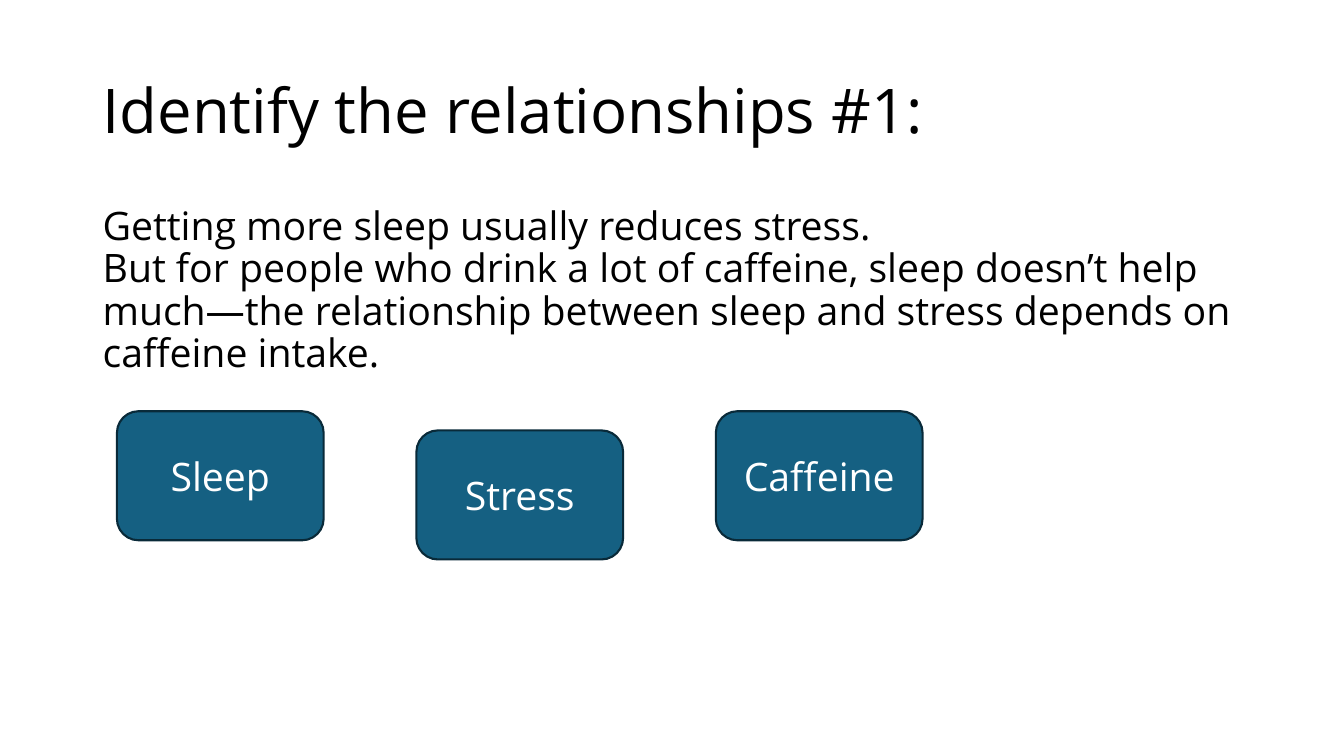
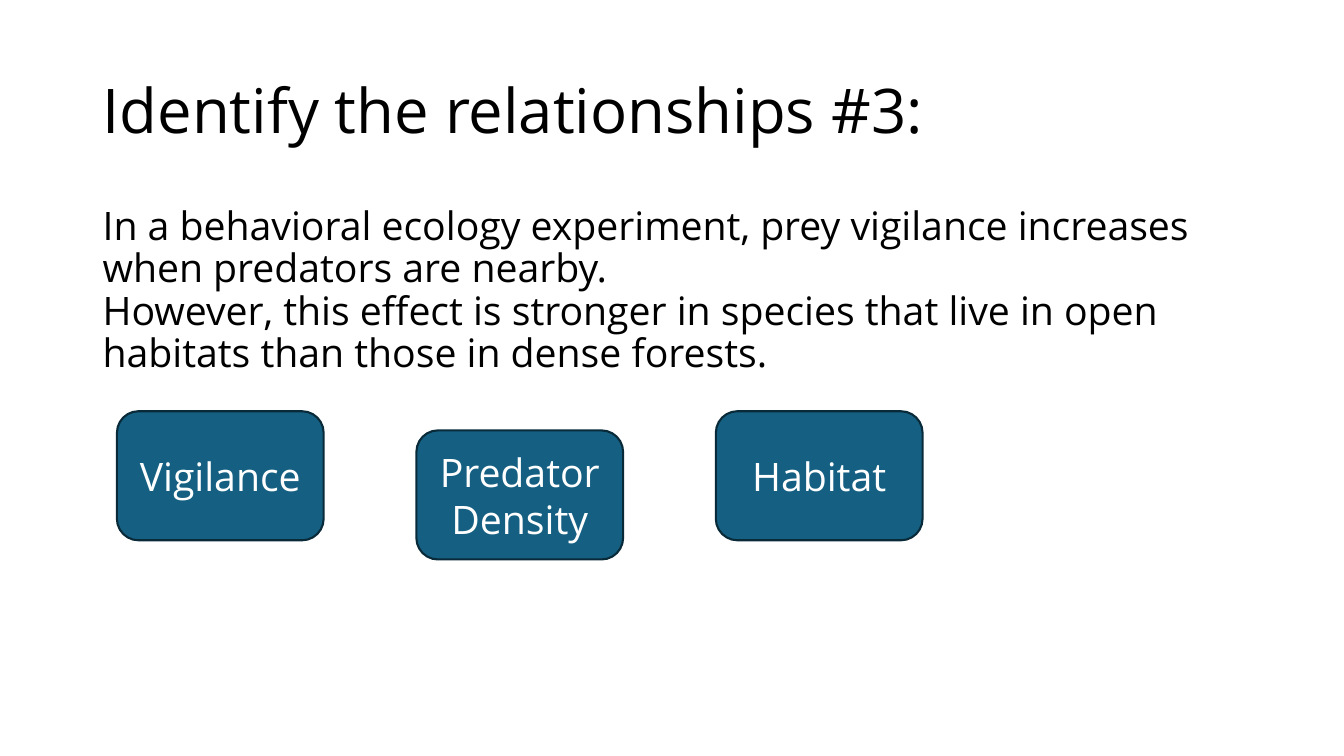
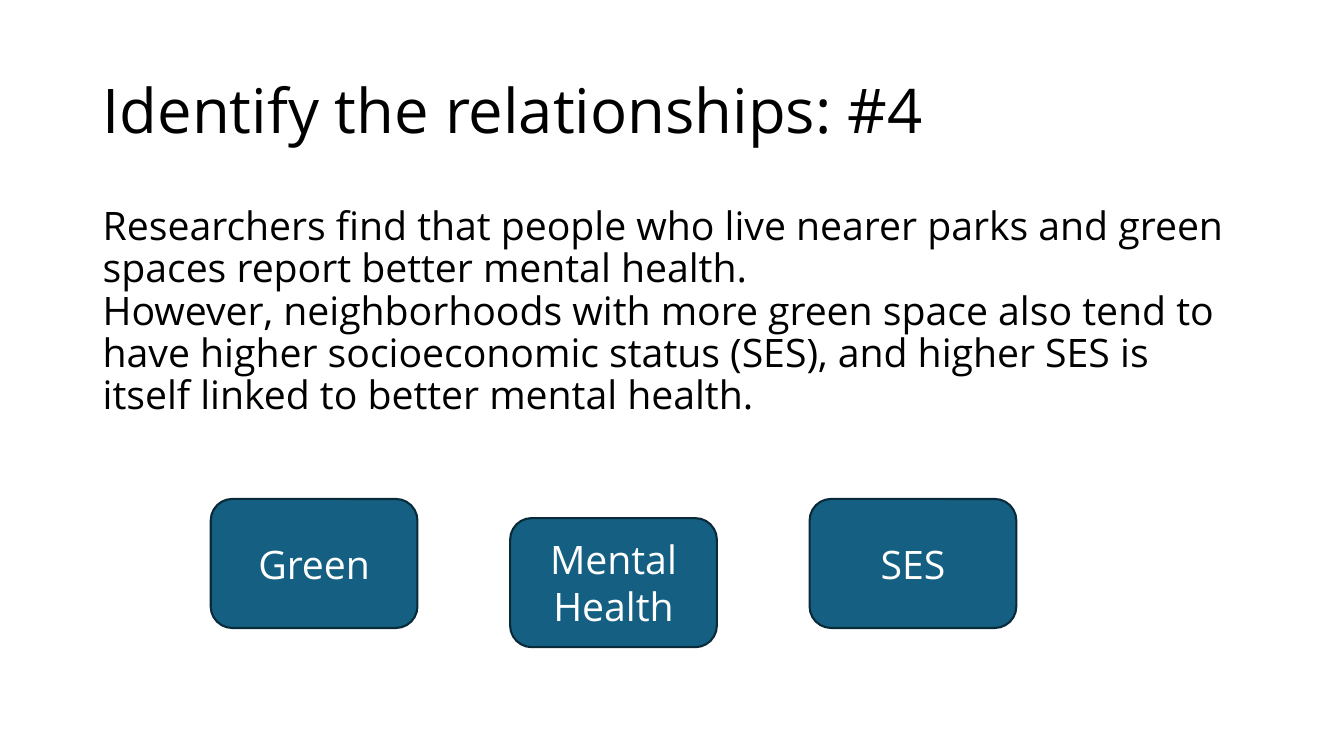
from pptx import Presentation
from pptx.dml.color import RGBColor
from pptx.enum.shapes import MSO_SHAPE
from pptx.enum.text import MSO_ANCHOR, PP_ALIGN
from pptx.util import Emu, Pt

PX = 9144
FONT = "Open Sans"
INK, WHITE, TEAL, EDGE = "000000", "FFFFFF", "156082", "092A39"
MARGIN, TEXT_W = 92, 1150
BOX_W, BOX_H, PITCH, DROP = 205, 128, 297, 19

SLIDES = [
    ("Identify the relationships #1:",
     ["Getting more sleep usually reduces stress.",
      "But for people who drink a lot of caffeine, sleep doesn’t help much—the "
      "relationship between sleep and stress depends on caffeine intake."],
     ["Sleep", "Stress", "Caffeine"], (116, 408)),
    ("Identify the relationships #3:",
     ["In a behavioral ecology experiment, prey vigilance increases when "
      "predators are nearby.",
      "However, this effect is stronger in species that live in open habitats "
      "than those in dense forests."],
     ["Vigilance", "Predator Density", "Habitat"], (116, 408)),
    ("Identify the relationships: #4",
     ["Researchers find that people who live nearer parks and green spaces "
      "report better mental health.",
      "However, neighborhoods with more green space also tend to have higher "
      "socioeconomic status (SES), and higher SES is itself linked to better "
      "mental health."],
     ["Green", "Mental Health", "SES"], (209, 495)),
]


def px(*lengths):
    """Turn pixel lengths into EMU."""
    return [Emu(n * PX) for n in lengths]


def color(hex_str):
    """Return the colour of a hex string."""
    return RGBColor.from_string(hex_str)


def write(p, lines, size, ink):
    """Add lines to a paragraph as runs parted by line breaks."""
    for i, line in enumerate(lines):
        if i:
            p.add_line_break()
        r = p.add_run()
        r.text = line
        r.font.name = FONT
        r.font.size = Pt(size)
        r.font.color.rgb = color(ink)


def add_text(s, top, height, lines, size, anchor, before=0):
    """Add a text box that spans the slide's text column."""
    tf = s.shapes.add_textbox(*px(MARGIN, top, TEXT_W, height)).text_frame
    tf.word_wrap = True
    tf.vertical_anchor = anchor
    p = tf.paragraphs[0]
    p.line_spacing = 0.9
    p.space_before = Pt(before)
    write(p, lines, size, INK)


def add_variable(s, left, top, label):
    """Add a rounded box that names one variable."""
    sp = s.shapes.add_shape(MSO_SHAPE.ROUNDED_RECTANGLE,
                            *px(left, top, BOX_W, BOX_H))
    sp.shadow.inherit = False
    sp.fill.solid()
    sp.fill.fore_color.rgb = color(TEAL)
    sp.line.color.rgb = color(EDGE)
    sp.line.width = Pt(1.5)
    tf = sp.text_frame
    tf.word_wrap = True
    tf.vertical_anchor = MSO_ANCHOR.MIDDLE
    p = tf.paragraphs[0]
    p.alignment = PP_ALIGN.CENTER
    write(p, [label], 28, WHITE)


def add_exercise(prs, title, lines, variables, origin):
    """Add a slide with a title, a scenario and a row of variables."""
    s = prs.slides.add_slide(prs.slide_layouts[6])
    add_text(s, 40, 145, [title], 44, MSO_ANCHOR.MIDDLE)
    add_text(s, 200, 476, lines, 28, MSO_ANCHOR.TOP, before=10)
    left, top = origin
    for i, label in enumerate(variables):
        add_variable(s, left + i * PITCH, top + i % 2 * DROP, label)


def main():
    """Build and save the presentation."""
    prs = Presentation()
    prs.slide_width, prs.slide_height = px(1333, 750)
    for exercise in SLIDES:
        add_exercise(prs, *exercise)
    prs.save("out.pptx")


if __name__ == "__main__":
    main()
